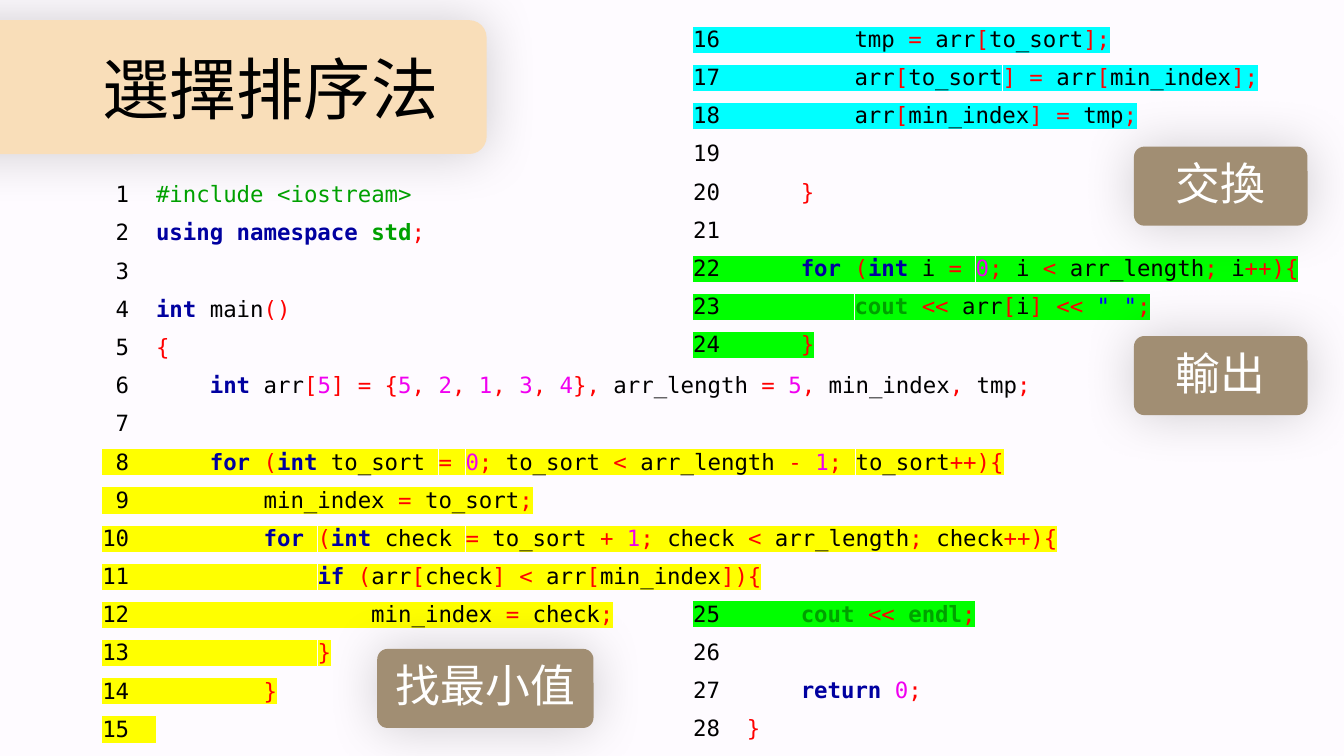
from itertools import groupby

from lxml.etree import SubElement
from pptx import Presentation
from pptx.dml.color import RGBColor
from pptx.enum.shapes import MSO_SHAPE as Shape
from pptx.enum.text import MSO_ANCHOR as Anchor, PP_ALIGN as Align
from pptx.oxml.ns import qn
from pptx.util import Pt

FONT = "DejaVu Sans Mono"
BACKGROUND = RGBColor(0xFE, 0xFB, 0xFF)
PEACH = RGBColor(0xF9, 0xDE, 0xB9)
BROWN = RGBColor(0xA1, 0x8E, 0x73)
WHITE = RGBColor(0xFF, 0xFF, 0xFF)
BLACK = RGBColor(0, 0, 0)
KEYWORD = RGBColor(0, 0, 0xA0)
LIBRARY = RGBColor(0, 0xA0, 0)
SYMBOL = RGBColor(0xFF, 0, 0)
NUMBER = RGBColor(0xF0, 0, 0xF0)
STRING = RGBColor(0, 0, 0xFF)
YELLOW = RGBColor(0xFF, 0xFF, 0)
CYAN = RGBColor(0, 0xFF, 0xFF)
GREEN = RGBColor(0, 0xFF, 0)

KEYWORDS = {"using", "namespace", "int", "for", "if", "return"}
LIBRARY_NAMES = {"std", "cout", "endl"}

CODE = """#include <iostream>
using namespace std;

int main()
{
    int arr[5] = {5, 2, 1, 3, 4}, arr_length = 5, min_index, tmp;

    for (int to_sort = 0; to_sort < arr_length - 1; to_sort++){
        min_index = to_sort;
        for (int check = to_sort + 1; check < arr_length; check++){
            if (arr[check] < arr[min_index]){
                min_index = check;
            }
        }

        tmp = arr[to_sort];
        arr[to_sort] = arr[min_index];
        arr[min_index] = tmp;

    }

    for (int i = 0; i < arr_length; i++){
        cout << arr[i] << " ";
    }
    cout << endl;

    return 0;
}""".split("\n")

# Steps of the algorithm: line numbers and their marker colour
STEPS = [(range(8, 16), YELLOW), (range(16, 19), CYAN), (range(22, 26), GREEN)]
MARKERS = {number: colour for numbers, colour in STEPS for number in numbers}


def color_code(code):
    """Split a code line into [text, colour, bold]; spaces join the part before."""
    if code.startswith("#"):
        return [["", BLACK, False], [code, LIBRARY, False]]
    parts = [["", BLACK, False]]
    for kind, chars in groupby(code, lambda c: "word" if c.isalnum() or c == "_" else
                               c if c in ' "' else "symbol"):
        token = "".join(chars)
        if kind == " ":
            style = parts[-1][1:]
        elif kind == '"':
            style = [STRING, False]
        elif kind == "symbol":
            style = [SYMBOL, False]
        elif token in KEYWORDS:
            style = [KEYWORD, True]
        elif token in LIBRARY_NAMES:
            style = [LIBRARY, True]
        else:
            style = [NUMBER if token.isdigit() else BLACK, False]
        if style == parts[-1][1:]:
            parts[-1][0] += token
        else:
            parts.append([token, *style])
    return parts


def add_card(left, top, width, height, colour):
    card = slide.shapes.add_shape(Shape.ROUNDED_RECTANGLE, Pt(left), Pt(top), Pt(width), Pt(height))
    card.adjustments[0] = 0.13
    card.fill.solid()
    card.fill.fore_color.rgb = colour
    card.line.fill.background()
    # Soft glow-like shadow
    card.shadow.inherit = False
    effects = card._element.spPr.find(qn("a:effectLst"))
    shadow = SubElement(effects, qn("a:outerShdw"), blurRad=str(Pt(38)), dist="0", algn="ctr", rotWithShape="0")
    shadow_colour = SubElement(shadow, qn("a:srgbClr"), val=str(BLACK))
    SubElement(shadow_colour, qn("a:alpha"), val="19000")
    return card


presentation = Presentation()
presentation.slide_width, presentation.slide_height = Pt(960), Pt(540)
slide = presentation.slides.add_slide(presentation.slide_layouts[6])
slide.background.fill.solid()
slide.background.fill.fore_color.rgb = BACKGROUND

# Title on its banner
add_card(-113, 14.4, 460.6, 95.6, PEACH)
title = slide.shapes.add_textbox(Pt(66), Pt(28), Pt(828), Pt(76)).text_frame
title.word_wrap = True
title.vertical_anchor = Anchor.MIDDLE
heading = title.paragraphs[0]
heading.text = "選擇排序法"
heading.line_spacing = 0.9
heading.font.name = FONT
heading.font.size = Pt(48)
heading.font.color.rgb = BLACK

# Code listing in three blocks: first line, last line, left, top, width, height
for first, last, left, top, width, height in [
    (1, 15, 66, 127.5, 828, 375),
    (16, 24, 488, 16.5, 467, 248),
    (25, 28, 488, 427, 453, 110),
]:
    listing = slide.shapes.add_textbox(Pt(left), Pt(top), Pt(width), Pt(height)).text_frame
    listing.word_wrap = True
    for number in range(first, last + 1):
        line = listing.paragraphs[0] if number == first else listing.add_paragraph()
        line.line_spacing = 0.9
        line.space_before = Pt(0 if number == first else 10)
        line.font.name = FONT
        line.font.size = Pt(16)
        parts = color_code(CODE[number - 1])
        parts[0][0] = f"{number:>2}  " + parts[0][0]
        for text, colour, bold in parts:
            run = line.add_run()
            run.text = text
            run.font.bold = bold
            run.font.color.rgb = colour
            if number in MARKERS:
                marker = SubElement(run.font._element, qn("a:highlight"))
                SubElement(marker, qn("a:srgbClr"), val=str(MARKERS[number]))

# Labels naming the steps
for step, left, top, width in [
    ("找最小值", 269.5, 463.5, 154.5),
    ("交換", 810, 104.7, 124),
    ("輸出", 810, 240, 124),
]:
    label = add_card(left, top, width, 56.5, BROWN).text_frame
    label.word_wrap = True
    label.vertical_anchor = Anchor.MIDDLE
    caption = label.paragraphs[0]
    caption.text = step
    caption.alignment = Align.CENTER
    caption.line_spacing = 0.9
    caption.font.name = FONT
    caption.font.size = Pt(32)
    caption.font.color.rgb = WHITE

presentation.save("out.pptx")
